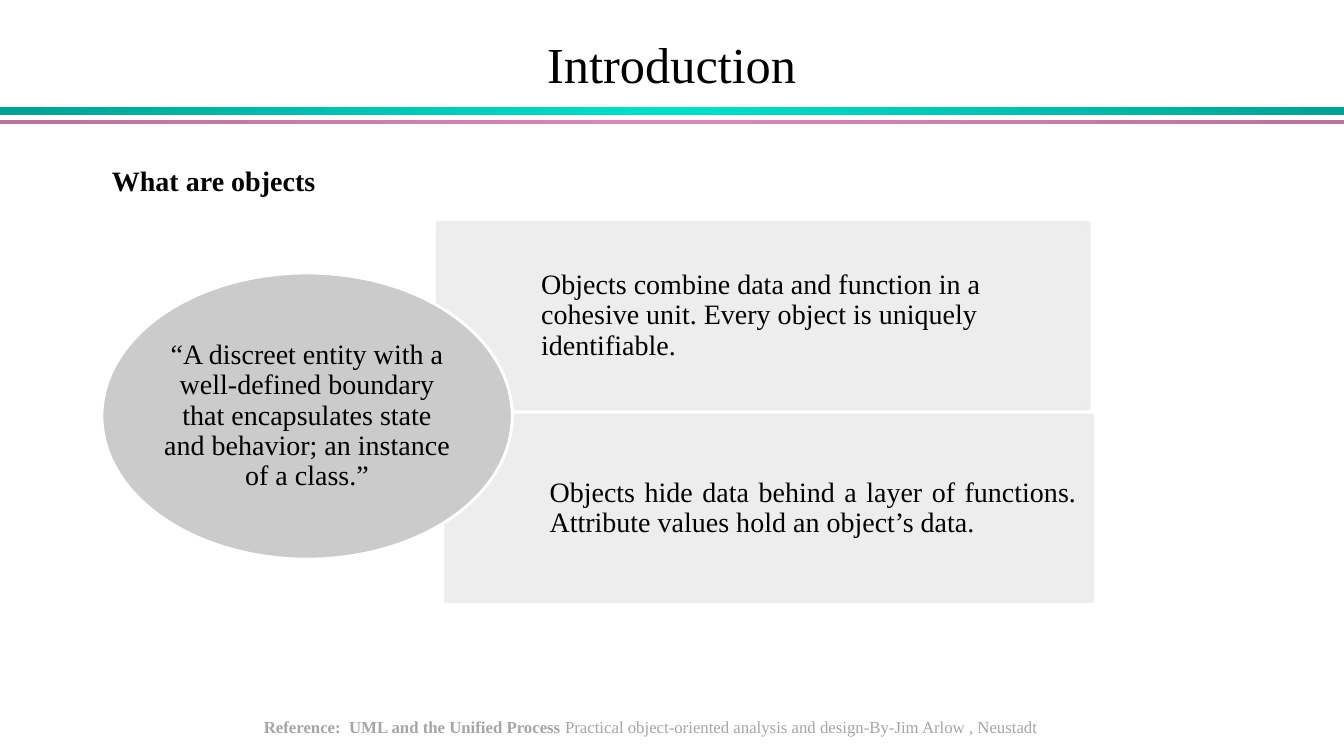
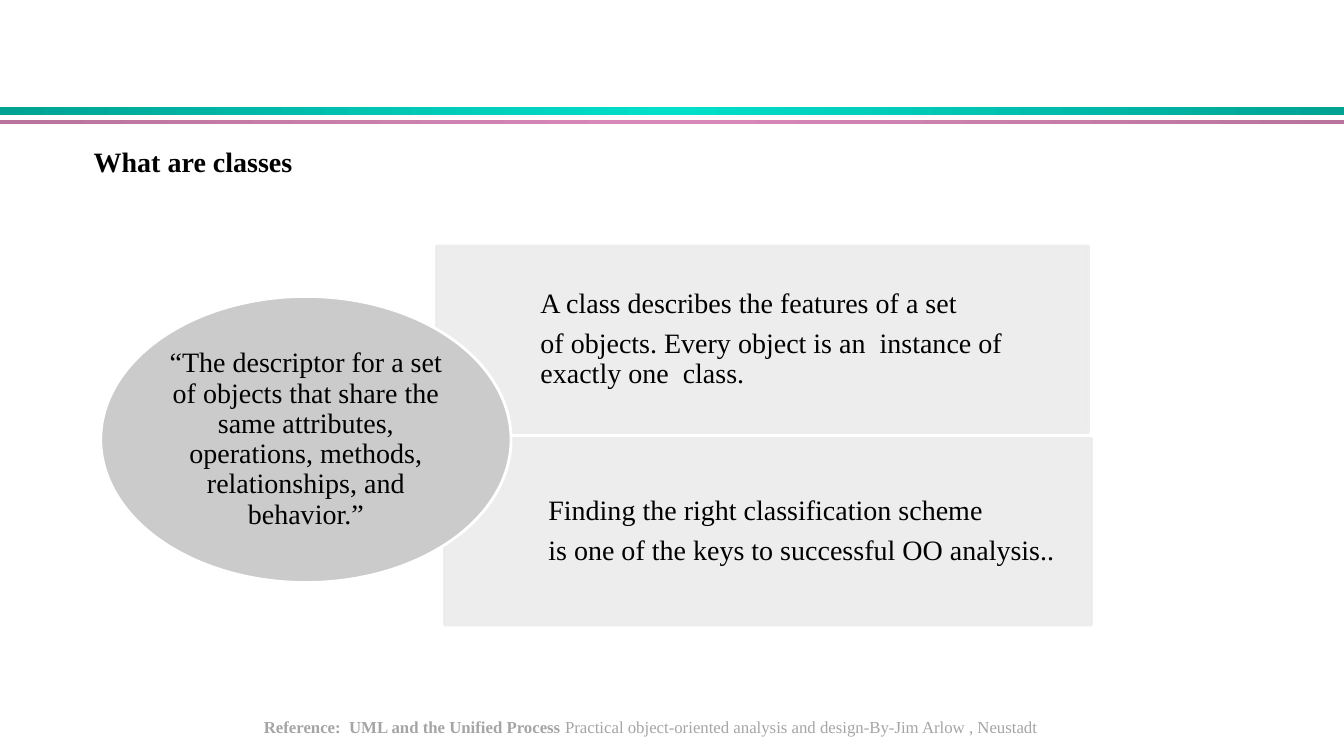
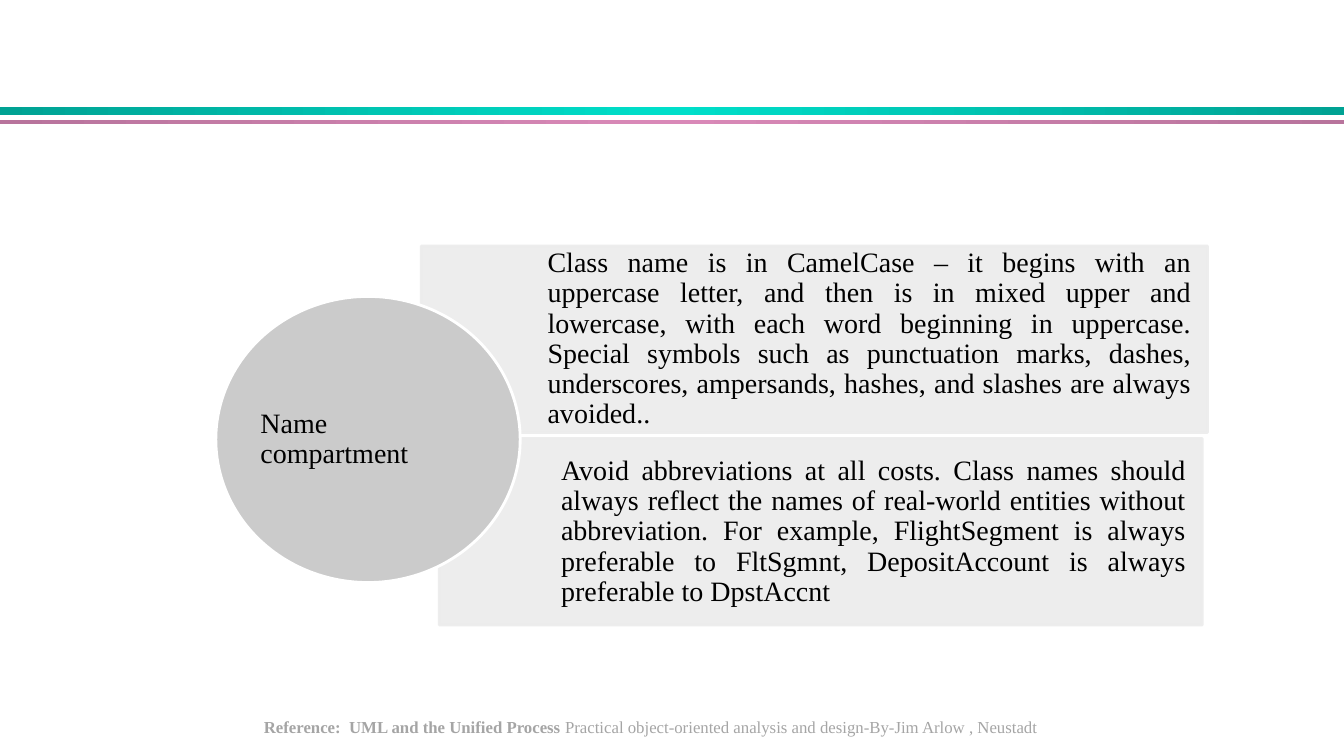
from copy import deepcopy

from lxml import etree
from pptx import Presentation
from pptx.dml.color import RGBColor
from pptx.enum.shapes import MSO_SHAPE
from pptx.enum.text import MSO_ANCHOR, PP_ALIGN
from pptx.oxml.ns import qn
from pptx.util import Cm, Pt

RECT, OVAL = MSO_SHAPE.RECTANGLE, MSO_SHAPE.OVAL
LEFT, CENTER, JUSTIFY = PP_ALIGN.LEFT, PP_ALIGN.CENTER, PP_ALIGN.JUSTIFY
TOP, MIDDLE = MSO_ANCHOR.TOP, MSO_ANCHOR.MIDDLE

FONT = "Times New Roman"
BLACK, WHITE, GREY = "000000", "FFFFFF", "A5A5A5"
BOX_FILL, OVAL_FILL = "ECECEC", "CBCBCB"
TITLE_ONLY, BLANK = 5, 6
INSETS = (0.25, 0.13, 0.25, 0.13)
BOX_HEIGHT, BOX_STEP, BOX_INSET = 4.7, 4.85, 0.41
OVAL_DROP, OVAL_HEIGHT = 1.27, 7.21

BANDS = [
    (2.69, 0.2, ["00A293", "00DFCA", "00A293"]),
    (3.02, 0.1, ["B8749C", "D989B8", "B8749C"]),
]

SLIDES = [
    {
        "title": "Introduction",
        "heading": ("What are objects", 2.57, 3.56),
        "top": 5.61,
        "boxes": [
            (11.02, 16.43, 2.62, LEFT, [
                "Objects combine data and function in a cohesive unit. "
                "Every object is uniquely identifiable."]),
            (11.23, 16.31, 2.62, JUSTIFY, [
                "Objects hide data behind a layer of functions. "
                "Attribute values hold an object’s data."]),
        ],
        "oval": (2.57, 10.34, CENTER,
                 "“A discreet entity with a well-defined boundary that "
                 "encapsulates state and behavior; an instance of a class.”"),
    },
    {
        "heading": ("What are classes", 2.11, 3.1),
        "top": 6.2,
        "boxes": [
            (11, 16.43, 2.62, LEFT, [
                "A class describes the features of a set",
                "of objects. Every object is an  instance of exactly one  class."]),
            (11.2, 16.31, 2.62, LEFT, [
                "Finding the right classification scheme",
                "is one of the keys to successful OO analysis.."]),
        ],
        "oval": (2.54, 10.34, CENTER,
                 "“The descriptor for a set of objects that share the same "
                 "attributes, operations, methods, relationships, and behavior.”"),
    },
    {
        "top": 6.2,
        "boxes": [
            (10.62, 19.81, 3.18, JUSTIFY, [
                "Class name is in CamelCase – it begins with an uppercase letter, "
                "and then is in mixed upper and lowercase, with each word beginning "
                "in uppercase. Special symbols such as punctuation marks, dashes, "
                "underscores, ampersands, hashes, and slashes are always avoided.."]),
            (11.07, 19.23, 3.07, JUSTIFY, [
                "Avoid abbreviations at all costs. Class names should always reflect "
                "the names of real-world entities without abbreviation. For example, "
                "FlightSegment is always preferable to FltSgmnt, DepositAccount is "
                "always preferable to DpstAccnt"]),
        ],
        "oval": (5.44, 7.67, JUSTIFY, "Name compartment"),
    },
]


def rgb(value):
    return RGBColor.from_string(value)


def write(sp, lines, size=20, color=BLACK, bold=False, align=LEFT,
          spacing=0.9, anchor=MIDDLE, insets=INSETS, tail=None):
    tf = sp.text_frame
    tf.word_wrap = True
    tf.vertical_anchor = anchor
    tf.margin_left, tf.margin_top, tf.margin_right, tf.margin_bottom = map(Cm, insets)
    for i, line in enumerate(lines):
        p = tf.add_paragraph() if i else tf.paragraphs[0]
        p.alignment = align
        p.line_spacing = spacing
        p.space_before = Pt(7 if i else 0)
        runs = [(line, bold)]
        if tail:
            runs.append((tail, False))
        for text, weight in runs:
            r = p.add_run()
            r.text = text
            r.font.name = FONT
            r.font.size = Pt(size)
            r.font.bold = weight
            r.font.color.rgb = rgb(color)


prs = Presentation()
prs.slide_width, prs.slide_height = Cm(33.87), Cm(19.05)
master = prs.slide_master

for i, content in enumerate(SLIDES):
    has_title = "title" in content
    s = prs.slides.add_slide(prs.slide_layouts[TITLE_ONLY if has_title else BLANK])

    if i == 0:
        for top, height, colors in BANDS:
            sp = s.shapes.add_shape(RECT, 0, Cm(top), prs.slide_width, Cm(height))
            sp.shadow.inherit = False
            sp.line.fill.background()
            sp.fill.gradient()
            sp.fill.gradient_angle = 0
            stops = next(sp.element.iter(qn("a:gsLst")))
            stops.append(deepcopy(stops[-1]))
            for n, (stop, color) in enumerate(zip(sp.fill.gradient_stops, colors)):
                stop.position = n / 2
                stop.color.rgb = rgb(color)
            master.shapes.element.append(sp.element)

    if has_title:
        sp = s.shapes.title
        sp.left, sp.top, sp.width, sp.height = Cm(0.56), Cm(0.84), Cm(32.74), Cm(1.7)
        write(sp, [content["title"]], size=36, align=CENTER)

    if "heading" in content:
        text, left, top = content["heading"]
        sp = s.shapes.add_textbox(Cm(left), Cm(top), Cm(29.64), Cm(1.4))
        write(sp, [text], bold=True, align=JUSTIFY, spacing=1.5, anchor=TOP)

    for n, (left, width, indent, align, lines) in enumerate(content["boxes"]):
        sp = s.shapes.add_shape(RECT, Cm(left), Cm(content["top"] + n * BOX_STEP),
                                Cm(width), Cm(BOX_HEIGHT))
        sp.shadow.inherit = False
        sp.fill.solid()
        sp.fill.fore_color.rgb = rgb(BOX_FILL)
        sp.line.color.rgb = rgb(BOX_FILL)
        sp.line.width = Pt(2)
        for color in sp.element.spPr.iter(qn("a:srgbClr")):
            etree.SubElement(color, qn("a:alpha"), val="90000")
        write(sp, lines, align=align, insets=(indent, BOX_INSET, BOX_INSET, BOX_INSET))

    left, width, align, text = content["oval"]
    sp = s.shapes.add_shape(OVAL, Cm(left), Cm(content["top"] + OVAL_DROP),
                            Cm(width), Cm(OVAL_HEIGHT))
    sp.shadow.inherit = False
    sp.fill.solid()
    sp.fill.fore_color.rgb = rgb(OVAL_FILL)
    sp.line.color.rgb = rgb(WHITE)
    sp.line.width = Pt(2)
    write(sp, [text], align=align, insets=(0, 0, 0, 0))

    sp = s.shapes.add_textbox(Cm(6.4), Cm(17.93), Cm(21.08), Cm(0.76))
    write(sp, ["Reference:  UML and the Unified Process "], size=12, color=GREY,
          bold=True, spacing=1, anchor=TOP,
          tail="Practical object-oriented analysis and design-By-Jim Arlow , Neustadt")

prs.save("out.pptx")
